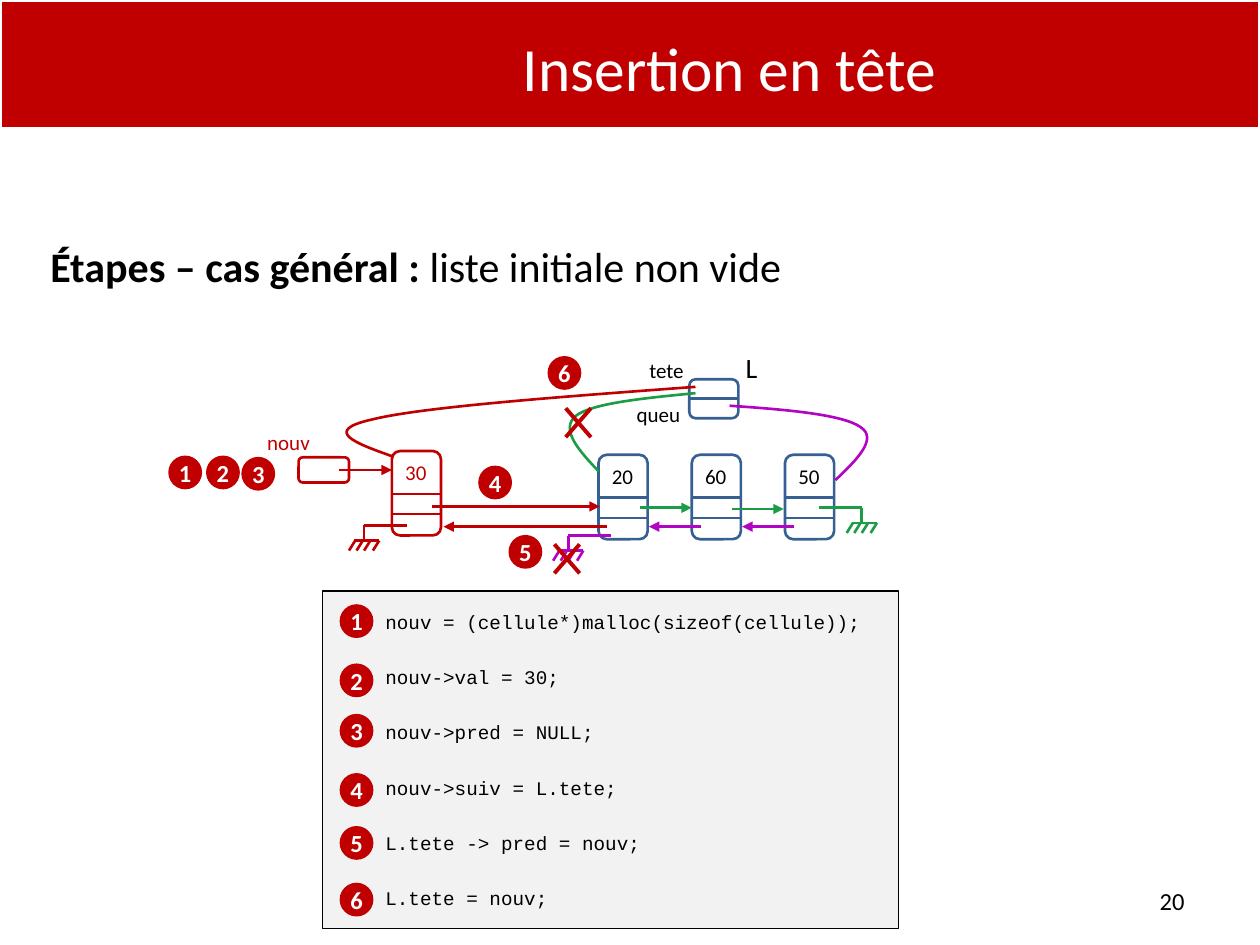
from lxml import etree
from pptx import Presentation
from pptx.dml.color import RGBColor
from pptx.enum.shapes import MSO_CONNECTOR, MSO_SHAPE
from pptx.enum.text import MSO_ANCHOR, MSO_AUTO_SIZE, PP_ALIGN
from pptx.oxml.ns import qn
from pptx.util import Inches, Pt

RECT, ROUND, OVAL = MSO_SHAPE.RECTANGLE, MSO_SHAPE.ROUNDED_RECTANGLE, MSO_SHAPE.OVAL
STRAIGHT = MSO_CONNECTOR.STRAIGHT
TOP, MIDDLE = MSO_ANCHOR.TOP, MSO_ANCHOR.MIDDLE
LEFT, CENTER, RIGHT, JUSTIFY = PP_ALIGN.LEFT, PP_ALIGN.CENTER, PP_ALIGN.RIGHT, PP_ALIGN.JUSTIFY

THEME = {
    "red": "C00000", "blue": "366092", "green": "1C9C47", "purple": "B105C3",
    "black": "000000", "white": "FFFFFF", "gray": "F2F2F2",
    "sans": "Calibri", "mono": "Courier New",
    "title": 35.1, "lead": 24, "name": 16, "badge": 14, "page": 14, "label": 12, "code": 11,
    "thin": 0.75, "line": 1.5, "edge": 2, "cross": 2.25,
}

TITLE = "Insertion en tête"
LEAD = [("Étapes – cas général : ", True), ("liste initiale non vide", False)]
PAGE = "20"
CODE = [
    "nouv = (cellule*)malloc(sizeof(cellule));",
    "nouv->val = 30;",
    "nouv->pred = NULL;",
    "nouv->suiv = L.tete;",
    "L.tete -> pred = nouv;",
    "L.tete = nouv;",
]
CELLS = [
    ("30", 3.11, 3.58, "red", "red"),
    ("20", 4.75, 3.61, "blue", "black"),
    ("60", 5.49, 3.61, "blue", "black"),
    ("50", 6.23, 3.61, "blue", "black"),
]
LABELS = [
    ("tete", 4.79, 2.79, 1, 0.24, "label", "black"),
    ("queu", 4.8, 3.14, 0.85, 0.3, "label", "black"),
    ("L", 5.78, 2.73, 0.37, 0.29, "name", "black"),
    ("nouv", 2.01, 3.36, 0.56, 0.3, "label", "red"),
]
ARROWS = [
    (5.08, 4.03, 5.49, 4.03, "green"),
    (5.81, 4.04, 6.22, 4.04, "green"),
    (5.56, 4.18, 5.15, 4.18, "purple"),
    (6.3, 4.18, 5.89, 4.18, "purple"),
    (2.69, 3.73, 3.11, 3.73, "red"),
    (3.43, 4.02, 4.76, 4.02, "red"),
    (4.82, 4.18, 3.52, 4.18, "red"),
]
GROUNDS = [
    (4.85, 4.51, 4.25, "purple"),
    (6.5, 6.84, 4.03, "green"),
    (3.23, 2.89, 4.17, "red"),
]
CURVES = [
    ("green", [(5.52, 3.12), (5.11, 3.16), (4.7, 3.2), (4.57, 3.3),
               (4.44, 3.41), (4.6, 3.58), (4.75, 3.74)]),
    ("purple", [(5.79, 3.22), (6.24, 3.25), (6.69, 3.29), (6.83, 3.39),
                (6.97, 3.48), (6.8, 3.65), (6.63, 3.81)]),
    ("red", [(5.52, 3.07), (4.44, 3.15), (3.35, 3.23), (2.95, 3.33),
             (2.55, 3.42), (2.83, 3.52), (3.11, 3.62)]),
]
CROSSES = [(4.4, 4.32), (4.49, 3.24)]
BADGES = [
    ("1", 1.35, 3.63), ("2", 1.65, 3.63), ("3", 1.93, 3.64),
    ("4", 3.81, 3.71), ("5", 4.05, 4.26), ("6", 4.36, 2.84),
    ("1", 2.71, 4.81), ("2", 2.71, 5.28), ("3", 2.71, 5.68),
    ("4", 2.71, 6.15), ("5", 2.71, 6.57), ("6", 2.71, 7.02),
]


def tint(key):
    return RGBColor.from_string(THEME[key])


def write(para, text, size, color="black", bold=False, face="sans"):
    run = para.add_run()
    run.text = text
    font = run.font
    font.name, font.size, font.bold = THEME[face], Pt(THEME[size]), bold
    font.color.rgb = tint(color)


def setup(frame, anchor=TOP, side=0.1, rim=0.05):
    frame.word_wrap = True
    frame.auto_size = MSO_AUTO_SIZE.NONE
    frame.vertical_anchor = anchor
    frame.margin_left = frame.margin_right = Inches(side)
    frame.margin_top = frame.margin_bottom = Inches(rim)
    return frame.paragraphs[0]


def place(item, x, y, w, h):
    item.left, item.top, item.width, item.height = map(Inches, (x, y, w, h))


def label(slide, text, x, y, w, h, size, color="black", align=CENTER, anchor=TOP):
    box = slide.shapes.add_textbox(*map(Inches, (x, y, w, h)))
    para = setup(box.text_frame, anchor)
    para.alignment = align
    write(para, text, size, color)


def shape(slide, kind, x, y, w, h, edge, fill=None, width="line"):
    item = slide.shapes.add_shape(kind, *map(Inches, (x, y, w, h)))
    item.shadow.inherit = False
    if fill:
        item.fill.solid()
        item.fill.fore_color.rgb = tint(fill)
    else:
        item.fill.background()
    item.line.color.rgb = tint(edge)
    item.line.width = Pt(THEME[width])
    return item


def line(slide, x1, y1, x2, y2, color, width="line", head=False):
    item = slide.shapes.add_connector(STRAIGHT, *map(Inches, (x1, y1, x2, y2)))
    item.line.color.rgb = tint(color)
    item.line.width = Pt(THEME[width])
    if head:
        etree.SubElement(item.line._get_or_add_ln(), qn("a:tailEnd"), type="triangle")
    etree.SubElement(item._element.spPr, qn("a:effectLst"))
    return item


def cell(slide, text, x, y, color, ink):
    shape(slide, ROUND, x, y, 0.39, 0.67, color)
    for drop in (0.34, 0.5):
        line(slide, x, y + drop, x + 0.39, y + drop, color)
    label(slide, text, x, y + 0.02, 0.38, 0.28, "label", ink)


def ground(slide, start, x, y, color):
    base = y + 0.12
    line(slide, start, y, x, y, color)
    line(slide, x, y, x, base, color)
    line(slide, x - 0.08, base, x + 0.12, base, color)
    for step in (-0.07, -0.01, 0.05, 0.12):
        line(slide, x + step, base, x + step - 0.05, base + 0.08, color)


def curve(slide, color, points):
    spots = [(Inches(x), Inches(y)) for x, y in points]
    pen = slide.shapes.build_freeform(*spots[0])
    pen.add_line_segments(spots[1:], close=False)
    item = pen.convert_to_shape()
    item.shadow.inherit = False
    item.fill.background()
    item.line.color.rgb = tint(color)
    item.line.width = Pt(THEME["line"])
    parts = list(item._element.iter(qn("a:lnTo")))
    for i in range(0, len(parts), 3):
        bend = etree.SubElement(parts[i].getparent(), qn("a:cubicBezTo"))
        for part in parts[i:i + 3]:
            bend.append(part[0])
            part.getparent().remove(part)


def badge(slide, text, x, y):
    disc = shape(slide, OVAL, x, y, 0.24, 0.24, "red", "red", "edge")
    para = setup(disc.text_frame, MIDDLE, 0, 0)
    disc.text_frame.word_wrap = False
    para.alignment = CENTER
    write(para, text, "badge", "white", True)


def heads(slide):
    band = shape(slide, RECT, 0, 0, 10, 1.02, "white", "red", "edge")
    slide.shapes._spTree.insert(2, band._element)
    title, body = slide.shapes.title, slide.placeholders[1]
    place(title, 2.17, 0.19, 7.24, 0.69)
    para = setup(title.text_frame, MIDDLE)
    para.alignment = CENTER
    write(para, TITLE, "title", "white")
    place(body, 0.28, 1.86, 9.37, 5.43)
    para = setup(body.text_frame)
    para.alignment, para.space_before = JUSTIFY, Pt(0)
    props = para._p.get_or_add_pPr()
    props.set("marL", str(Inches(0.4)))
    props.set("indent", str(Inches(-0.38)))
    etree.SubElement(props, qn("a:buNone"))
    for text, bold in LEAD:
        write(para, text, "lead", bold=bold)


def listing(slide):
    panel = shape(slide, RECT, 2.56, 4.69, 4.57, 2.68, "black", "gray", "thin")
    frame = panel.text_frame
    para = setup(frame, MIDDLE)
    for i, text in enumerate(CODE):
        if i:
            para = frame.add_paragraph()
            para.space_before = Pt(18.3)
        para.alignment = LEFT
        para._p.get_or_add_pPr().set("marL", str(Inches(0.4)))
        write(para, text, "code", face="mono")


def main():
    deck = Presentation()
    deck.slide_width, deck.slide_height = Inches(10), Inches(7.5)
    slide = deck.slides.add_slide(deck.slide_layouts[1])
    heads(slide)
    listing(slide)
    for item in CELLS:
        cell(slide, *item)
    root = shape(slide, ROUND, 5.47, 3.01, 0.39, 0.31, "blue")
    split = line(slide, 5.47, 3.17, 5.86, 3.17, "blue")
    split.begin_connect(root, 1)
    split.end_connect(root, 3)
    shape(slide, ROUND, 2.37, 3.63, 0.4, 0.2, "red")
    for item in LABELS:
        label(slide, *item)
    for item in GROUNDS:
        ground(slide, *item)
    for item in ARROWS:
        line(slide, *item, head=True)
    for item in CURVES:
        curve(slide, *item)
    for x, y in CROSSES:
        line(slide, x, y, x + 0.2, y + 0.23, "red", "cross")
        line(slide, x + 0.2, y, x, y + 0.23, "red", "cross")
    for item in BADGES:
        badge(slide, *item)
    label(slide, PAGE, 7.17, 6.95, 2.33, 0.4, "page", align=RIGHT, anchor=MIDDLE)
    deck.save("out.pptx")


if __name__ == "__main__":
    main()
